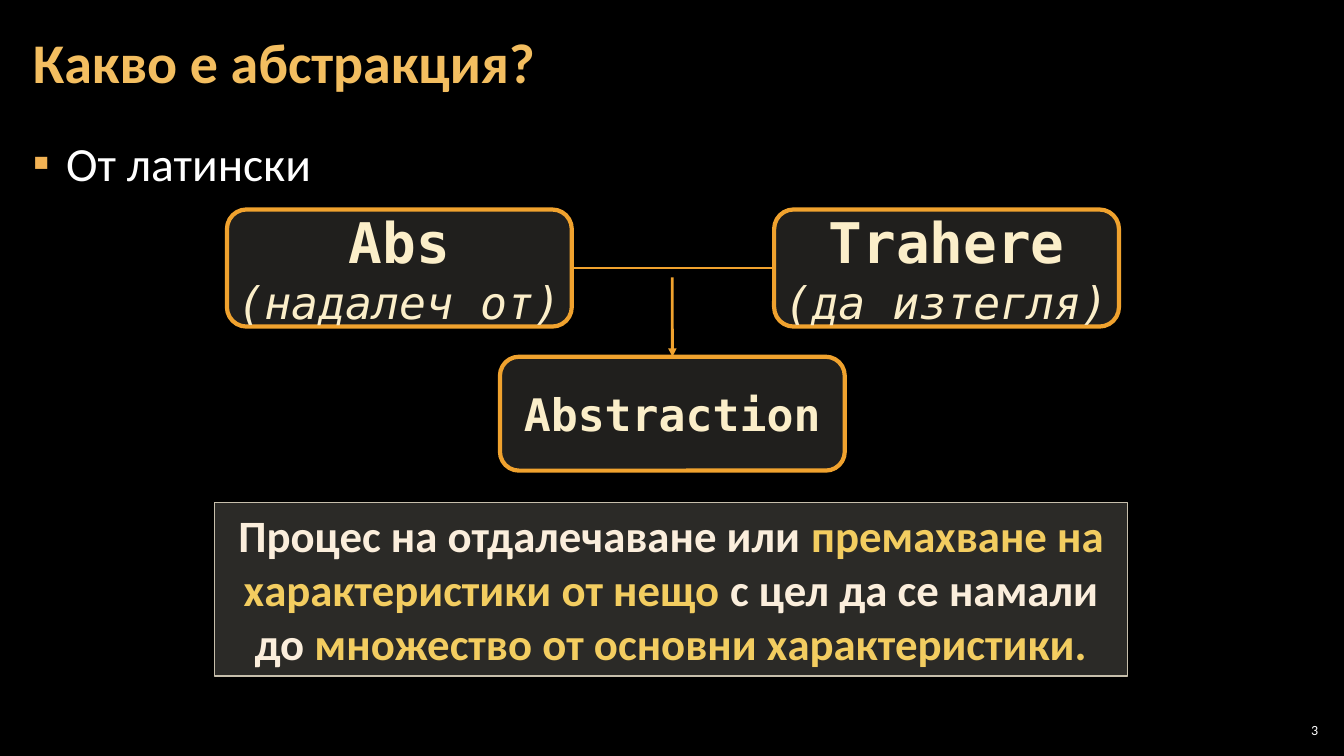
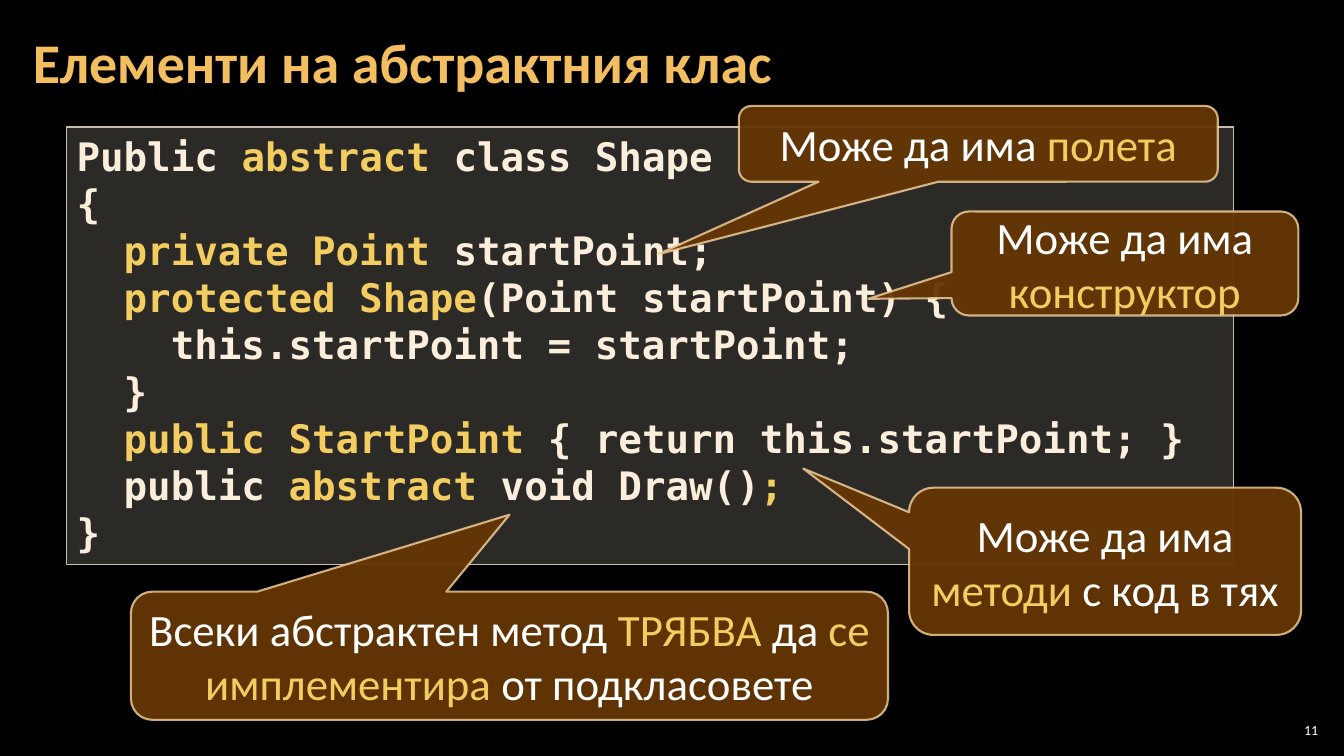
from dataclasses import dataclass

from lxml.etree import SubElement
from pptx import Presentation
from pptx.dml.color import RGBColor
from pptx.enum.shapes import MSO_CONNECTOR, MSO_SHAPE
from pptx.enum.text import MSO_ANCHOR, MSO_AUTO_SIZE, PP_ALIGN
from pptx.oxml.ns import qn
from pptx.shapes.autoshape import Shape
from pptx.shapes.connector import Connector
from pptx.slide import Slide
from pptx.util import Cm, Pt

# Colours and fonts
BLACK = RGBColor(0x00, 0x00, 0x00)
WHITE = RGBColor(0xFF, 0xFF, 0xFF)
GOLD = RGBColor(0xF3, 0xBE, 0x60)
BULLET = RGBColor(0xF2, 0xB2, 0x54)
YELLOW = RGBColor(0xF3, 0xCD, 0x60)
CREAM = RGBColor(0xFB, 0xEE, 0xDC)
SAND = RGBColor(0xFB, 0xEE, 0xC9)
ORANGE = RGBColor(0xF0, 0xA2, 0x2E)
STONE = RGBColor(0xD9, 0xD5, 0xC7)
EDGE = RGBColor(0xC7, 0xBF, 0xAC)
BROWN = RGBColor(0x66, 0x36, 0x06)
PEACH = RGBColor(0xF8, 0xD4, 0x9E)
SANS = "Calibri"
MONO = "DejaVu Sans Mono"

MARK = "*"  # encloses highlighted words


@dataclass(frozen=True)
class Area:
    left: float
    top: float
    width: float
    height: float

    def lengths(self) -> tuple[Cm, Cm, Cm, Cm]:
        return Cm(self.left), Cm(self.top), Cm(self.width), Cm(self.height)


@dataclass(frozen=True)
class Look:
    """Fill and outline, with opacities in percent."""
    fill: RGBColor
    alpha: int
    line: RGBColor
    weight: float
    clear: int = 100


@dataclass(frozen=True)
class Type:
    size: float
    color: RGBColor = WHITE
    face: str = SANS
    bold: bool = False
    italic: bool = False


@dataclass(frozen=True)
class Term:
    area: Area
    lines: tuple[tuple[str, Type], ...]


@dataclass(frozen=True)
class Callout:
    area: Area
    tip: tuple[float, float]
    text: str


TERM_LOOK = Look(STONE, 15, ORANGE, 3)
PANEL_LOOK = Look(STONE, 20, EDGE, 1)
CALL_LOOK = Look(BROWN, 95, PEACH, 1.5, 80)

TITLE = Type(40, GOLD, bold=True)
BODY = Type(34)
NOTE = Type(32)
QUOTE = Type(32, CREAM, bold=True)
CODE = Type(28, CREAM, MONO, bold=True)
ROOT = Type(40, SAND, MONO, bold=True)
SENSE = Type(32, SAND, MONO, italic=True)
WORD = Type(32, SAND, MONO, bold=True)

TITLE_AREA = Area(0.53, 0.1, 26.59, 3.07)
BODY_AREA = Area(0.53, 3.2, 32.79, 15.47)
PAGE_AREA = Area(32.13, 18.14, 1.19, 0.53)
QUOTE_AREA = Area(5.41, 12.67, 23.01, 4.37)
CODE_AREA = Area(1.68, 3.2, 29.41, 11.02)

TERMS = (
    Term(Area(5.72, 5.28, 8.69, 2.95), (("Abs", ROOT), ("(надалеч от)", SENSE))),
    Term(Area(19.51, 5.28, 8.69, 2.95), (("Trahere", ROOT), ("(да изтегля)", SENSE))),
    Term(Area(12.6, 8.99, 8.69, 2.87), (("Abstraction", WORD),)),
)
QUOTE_TEXT = ("Процес на отдалечаване или *премахване на характеристики от нещо *"
              "с цел да се намали до *множество от основни характеристики.*")
CODE_LINES = (
    "Public *abstract* class Shape",
    "{",
    "  *private Point *startPoint;",
    "  *protected Shape*(Point startPoint) {",
    "    this.startPoint = startPoint;",
    "  }",
    "  *public StartPoint *{ return this.startPoint; }",
    "  public *abstract* void Draw()*;*",
    "}",
)
CALLOUTS = (
    Callout(Area(18.62, 2.67, 12.07, 1.91), (-0.67, 1.46), "Може да има *полета*"),
    Callout(Area(23.98, 5.33, 8.74, 2.62), (-0.74, 0.34), "Може да има *конструктор*"),
    Callout(Area(22.91, 12.29, 9.88, 3.71), (-0.77, -0.63),
            "Може да има *методи *с код в тях"),
    Callout(Area(3.3, 14.91, 19.08, 3.23), (0, -1.1),
            "Всеки абстрактен метод *ТРЯБВА *да *се имплементира *от подкласовете"),
)


# Text
def write(shape: Shape, lines: list[tuple[str, Type]], align: PP_ALIGN) -> None:
    """Fill the shape with one paragraph a line, marked words in yellow."""
    frame = shape.text_frame
    frame.text = "\n".join(text.split(MARK)[0] for text, _ in lines)
    for par, (text, kind) in zip(frame.paragraphs, lines):
        par.alignment = align
        for piece in text.split(MARK)[1:]:
            par.add_run().text = piece
        for place, run in enumerate(par.runs):
            font = run.font
            font.name, font.size = kind.face, Pt(kind.size)
            font.bold, font.italic = kind.bold, kind.italic
            font.color.rgb = YELLOW if place % 2 else kind.color


def inset(shape: Shape, side: float) -> None:
    frame = shape.text_frame
    frame.margin_left = frame.margin_right = Cm(side)
    frame.margin_top = frame.margin_bottom = Cm(0.1)
    frame.word_wrap = True


# Shapes
def fade(fill, percent: int) -> None:
    """Make the solid fill under the given element partly transparent."""
    color = fill.find(qn("a:solidFill"))[0]
    SubElement(color, qn("a:alpha"), val=str(percent * 1000))


def block(slide: Slide, kind: MSO_SHAPE, area: Area, look: Look) -> Shape:
    shape = slide.shapes.add_shape(kind, *area.lengths())
    shape.shadow.inherit = False
    shape.fill.solid()
    shape.fill.fore_color.rgb = look.fill
    shape.line.color.rgb = look.line
    shape.line.width = Pt(look.weight)
    props = shape.element.spPr
    fade(props, look.alpha)
    if look.clear < 100:
        fade(props.find(qn("a:ln")), look.clear)
    shape.text_frame.word_wrap = True
    shape.text_frame.vertical_anchor = MSO_ANCHOR.MIDDLE
    return shape


def panel(slide: Slide, area: Area, lines: list[tuple[str, Type]],
          align: PP_ALIGN) -> None:
    shape = block(slide, MSO_SHAPE.RECTANGLE, area, PANEL_LOOK)
    shape.text_frame.vertical_anchor = MSO_ANCHOR.TOP
    shape.text_frame.auto_size = MSO_AUTO_SIZE.SHAPE_TO_FIT_TEXT
    write(shape, lines, align)


def box(slide: Slide, term: Term) -> Shape:
    shape = block(slide, MSO_SHAPE.ROUNDED_RECTANGLE, term.area, TERM_LOOK)
    shape.text_frame.word_wrap = False
    write(shape, term.lines, PP_ALIGN.CENTER)
    return shape


def bubble(slide: Slide, call: Callout) -> None:
    shape = block(slide, MSO_SHAPE.ROUNDED_RECTANGULAR_CALLOUT, call.area, CALL_LOOK)
    shape.adjustments[0], shape.adjustments[1] = call.tip
    write(shape, [(call.text, NOTE)], PP_ALIGN.CENTER)


def link(slide: Slide, left: float, top: float) -> Connector:
    """Add a line that starts at the given point."""
    start = Cm(left), Cm(top)
    line = slide.shapes.add_connector(MSO_CONNECTOR.STRAIGHT, *start, *start)
    line.line.color.rgb = ORANGE
    line.line.width = Pt(2)
    SubElement(line.element.spPr, qn("a:effectLst"))
    return line


def bullet(slide: Slide, text: str) -> None:
    shape = slide.shapes.add_textbox(*BODY_AREA.lengths())
    inset(shape, 0.3)
    write(shape, [(text, BODY)], PP_ALIGN.LEFT)
    par = shape.text_frame.paragraphs[0]
    par.line_spacing = 1.05
    par.space_after = Pt(6)
    props = par._p.get_or_add_pPr()
    props.set("marL", str(Cm(0.84)))
    props.set("indent", str(-Cm(0.84)))
    color = SubElement(props, qn("a:buClr"))
    SubElement(color, qn("a:srgbClr"), val=str(BULLET))
    SubElement(props, qn("a:buFont"), typeface=SANS)
    SubElement(props, qn("a:buChar"), char="▪")


# Slides
def start(deck: Presentation, title: str, page: int) -> Slide:
    """Add a slide with its title and page number."""
    slide = deck.slides.add_slide(deck.slide_layouts[5])
    head = slide.shapes.title
    head.left, head.top, head.width, head.height = TITLE_AREA.lengths()
    inset(head, 0.3)
    head.text_frame.vertical_anchor = MSO_ANCHOR.MIDDLE
    write(head, [(title, TITLE)], PP_ALIGN.LEFT)
    head.text_frame.paragraphs[0].line_spacing = 0.9

    foot = slide.shapes.add_textbox(*PAGE_AREA.lengths())
    inset(foot, 0.1)
    foot.text_frame.vertical_anchor = MSO_ANCHOR.MIDDLE
    write(foot, [(str(page), Type(10))], PP_ALIGN.RIGHT)
    return slide


def origin(deck: Presentation) -> None:
    slide = start(deck, "Какво е абстракция?", 3)
    bullet(slide, "От латински")
    away, pull, whole = [box(slide, term) for term in TERMS]

    # Line between the roots, arrow down to the word
    bridge = link(slide, 14.41, 6.76)
    bridge.begin_connect(away, 3)
    bridge.end_connect(pull, 1)
    arrow = link(slide, 16.94, 6.99)
    arrow.end_connect(whole, 0)
    SubElement(arrow.line._get_or_add_ln(), qn("a:tailEnd"), type="triangle")

    panel(slide, QUOTE_AREA, [(QUOTE_TEXT, QUOTE)], PP_ALIGN.CENTER)


def parts(deck: Presentation) -> None:
    slide = start(deck, "Елементи на абстрактния клас", 11)
    panel(slide, CODE_AREA, [(line, CODE) for line in CODE_LINES], PP_ALIGN.LEFT)
    for call in CALLOUTS:
        bubble(slide, call)


def main() -> None:
    deck = Presentation()
    deck.slide_width, deck.slide_height = Cm(33.87), Cm(19.05)
    back = deck.slide_master.background.fill
    back.solid()
    back.fore_color.rgb = BLACK
    origin(deck)
    parts(deck)
    deck.save("out.pptx")


if __name__ == "__main__":
    main()
